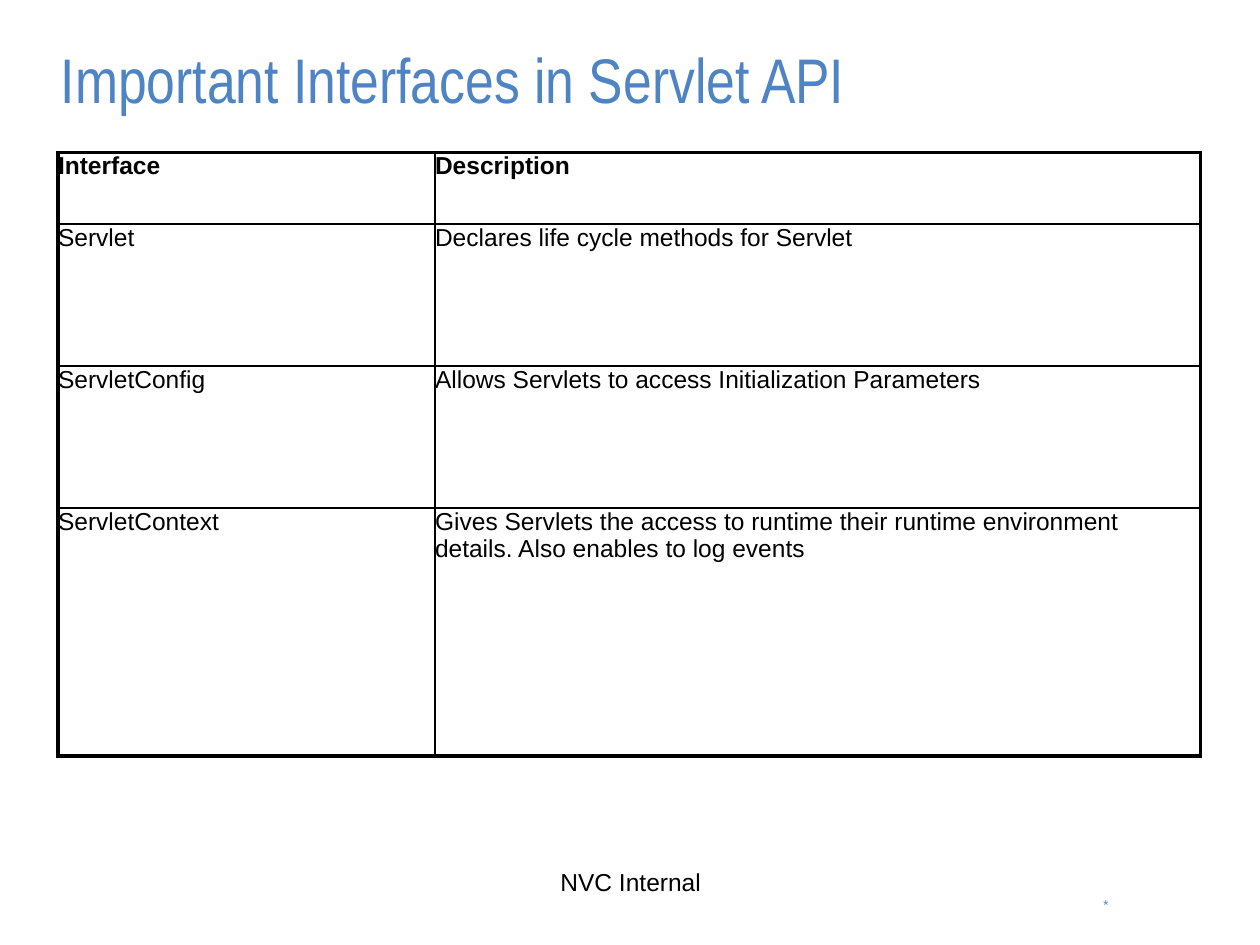
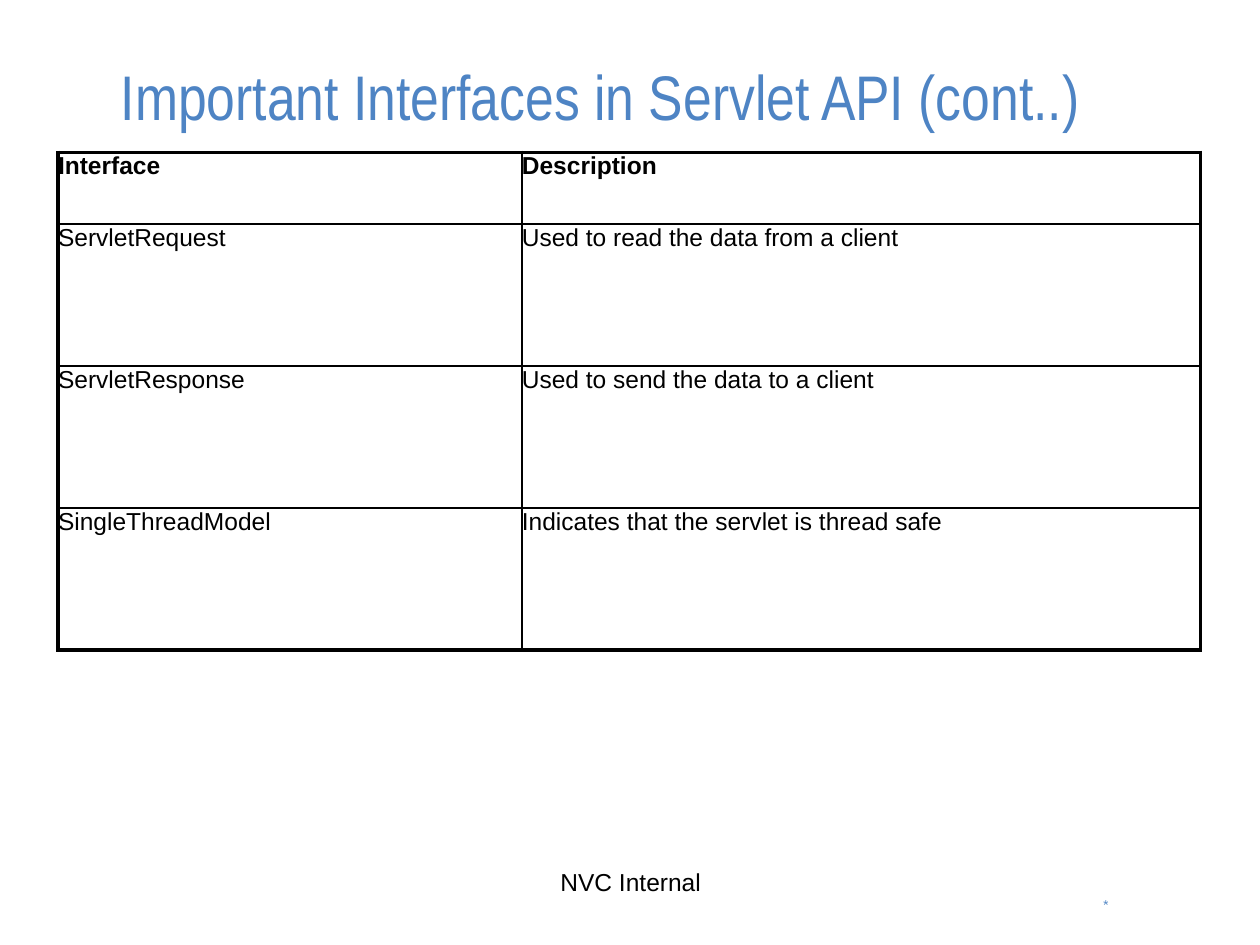
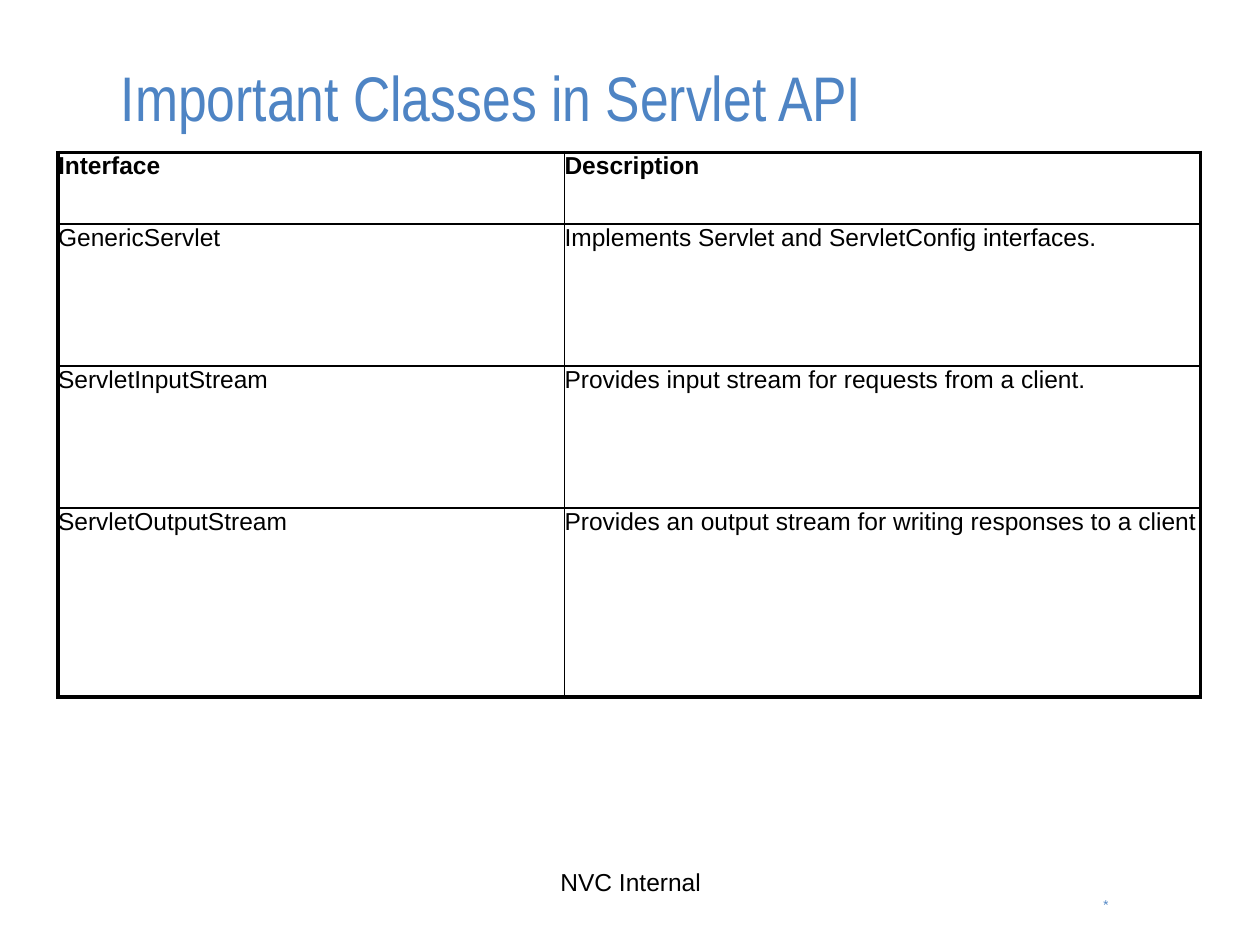
from lxml.etree import SubElement
from pptx import Presentation
from pptx.dml.color import RGBColor
from pptx.enum.text import MSO_ANCHOR, PP_ALIGN
from pptx.oxml.ns import qn
from pptx.util import Cm, Pt

BLUE = RGBColor(0x4E, 0x84, 0xC4)
BLACK = RGBColor(0, 0, 0)

HEADER = ("Interface", "Description")
SLIDES = [
    dict(title="Important Interfaces in Servlet API",
         title_box=(0.97, 0.76, 23.44, 1.65), name_width=7.6, last_height=5,
         rows=[("Servlet", "Declares life cycle methods for Servlet"),
               ("ServletConfig", "Allows Servlets to access Initialization Parameters"),
               ("ServletContext", "Gives Servlets the access to runtime their runtime "
                                  "environment details. Also enables to log events")]),
    dict(title="Important Interfaces in Servlet API (cont..)",
         title_box=(2.18, -0.05, 22.23, 3.94), name_width=9.35, last_height=2.86,
         rows=[("ServletRequest", "Used to read the data from a client"),
               ("ServletResponse", "Used to send the data to a client"),
               ("SingleThreadModel", "Indicates that the servlet is thread safe")]),
    dict(title="Important Classes in Servlet API",
         title_box=(2.18, 0, 22.23, 3.89), name_width=10.21, last_height=3.81,
         rows=[("GenericServlet", "Implements Servlet and ServletConfig interfaces."),
               ("ServletInputStream", "Provides input stream for requests from a client."),
               ("ServletOutputStream",
                "Provides an output stream for writing responses to a client")]),
]
FOOTERS = [
    ("*", (18.67, 17.93, 3.94, 0.89), dict(size=9, font="Karla", color=BLUE, align=PP_ALIGN.RIGHT)),
    ("NVC Internal", (8.69, 17.35, 8.05, 1.32), dict(align=PP_ALIGN.CENTER)),
]

TABLE_LEFT, TABLE_TOP, TABLE_WIDTH = 1.17, 3.07, 23.03
HEADER_HEIGHT, ROW_HEIGHT = 1.45, 2.86
OUTER, INNER = Pt(2.25), Pt(1)


def write(tf, text, size=14, font="Arial", color=BLACK, bold=False, align=PP_ALIGN.LEFT):
    tf.word_wrap = True
    p = tf.paragraphs[0]
    p.alignment = align
    r = p.add_run()
    r.text = text
    r.font.name, r.font.size, r.font.bold = font, Pt(size), bold
    r.font.color.rgb = color


def set_borders(cell, **widths):
    tc_pr = cell._tc.get_or_add_tcPr()
    for side, width in widths.items():
        ln = SubElement(tc_pr, qn(f"a:ln{side}"), w=str(width))
        SubElement(SubElement(ln, qn("a:solidFill")), qn("a:srgbClr"), val=str(BLACK))


def add_title(s, text, box):
    title = s.shapes.title
    title.left, title.top, title.width, title.height = map(Cm, box)
    title.text_frame.vertical_anchor = MSO_ANCHOR.MIDDLE
    write(title.text_frame, text, size=36, font="Arial Narrow", color=BLUE)


def add_footers(s):
    for text, box, style in FOOTERS:
        write(s.shapes.add_textbox(*map(Cm, box)).text_frame, text, **style)


def add_grid(s, rows, name_width, last_height):
    heights = [HEADER_HEIGHT] + [ROW_HEIGHT] * (len(rows) - 1) + [last_height]
    lines = [HEADER, *rows]
    table = s.shapes.add_table(len(lines), len(HEADER), Cm(TABLE_LEFT), Cm(TABLE_TOP),
                               Cm(TABLE_WIDTH), Cm(sum(heights))).table
    table.first_row = table.horz_banding = False
    for col, width in zip(table.columns, (name_width, TABLE_WIDTH - name_width)):
        col.width = Cm(width)
    for i, (line, height) in enumerate(zip(lines, heights)):
        table.rows[i].height = Cm(height)
        for j, text in enumerate(line):
            cell = table.cell(i, j)
            cell.margin_left = cell.margin_right = cell.margin_top = cell.margin_bottom = 0
            set_borders(cell, L=INNER if j else OUTER,
                        R=OUTER if j == len(line) - 1 else INNER,
                        T=INNER if i else OUTER,
                        B=OUTER if i == len(rows) else INNER)
            cell.fill.background()
            write(cell.text_frame, text, bold=i == 0)


def main():
    """Build the Servlet API slides."""
    prs = Presentation()
    prs.slide_width, prs.slide_height = Cm(25.4), Cm(19.05)
    for item in SLIDES:
        s = prs.slides.add_slide(prs.slide_layouts[5])
        add_footers(s)
        add_title(s, item["title"], item["title_box"])
        add_grid(s, item["rows"], item["name_width"], item["last_height"])
    prs.save("out.pptx")


if __name__ == "__main__":
    main()
